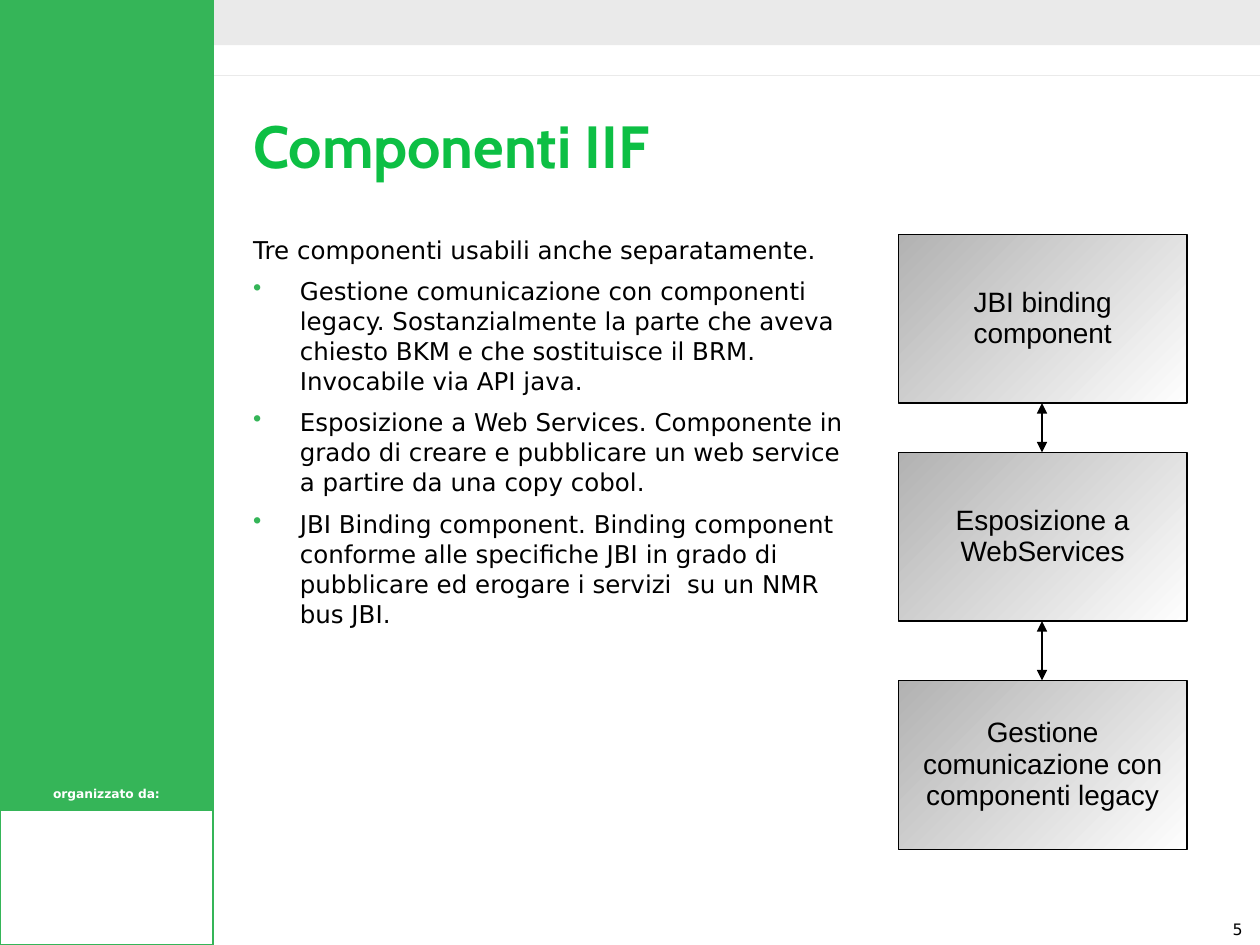
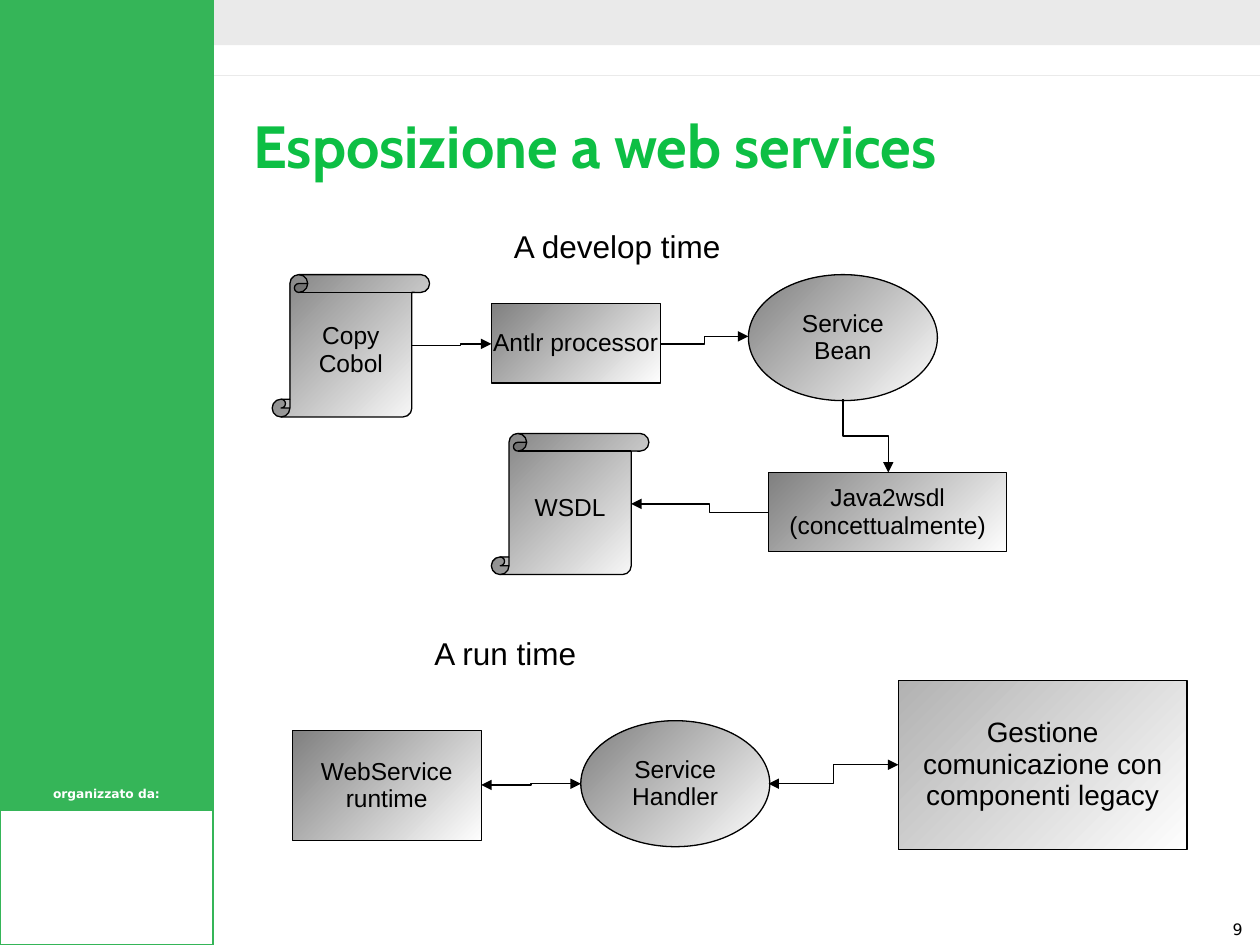
from dataclasses import dataclass
from typing import Any

from lxml import etree
from pptx import Presentation
from pptx.dml.color import RGBColor
from pptx.enum.shapes import MSO_CONNECTOR, MSO_SHAPE
from pptx.enum.text import MSO_ANCHOR, MSO_AUTO_SIZE, PP_ALIGN
from pptx.oxml.ns import qn
from pptx.util import Inches, Pt

RECT, OVAL, SCROLL = MSO_SHAPE.RECTANGLE, MSO_SHAPE.OVAL, MSO_SHAPE.VERTICAL_SCROLL
STRAIGHT, ELBOW = MSO_CONNECTOR.STRAIGHT, MSO_CONNECTOR.ELBOW
LEFT, CENTER, RIGHT = PP_ALIGN.LEFT, PP_ALIGN.CENTER, PP_ALIGN.RIGHT
TOP, MIDDLE = MSO_ANCHOR.TOP, MSO_ANCHOR.MIDDLE
GROW = MSO_AUTO_SIZE.SHAPE_TO_FIT_TEXT

COLORS = {
    "band": "EAEAEA",
    "panel": "35B558",
    "title": "0DBF44",
    "ink": "000000",
    "paper": "FFFFFF",
    "light": "FEFEFE",
    "module": "B2B2B2",
    "step": "808080",
}
HAIRLINE = Pt(0.75)
PANEL_WIDTH = 1.69
BODY_LEFT = 2.01
BODY_INDENT = 0.37
MODULE_LEFT, MODULE_WIDTH, MODULE_HEIGHT = 7.13, 2.29, 1.34
MODULE_CENTER = 8.27

Box = tuple[float, float, float, float]
Point = tuple[float, float]


@dataclass(frozen=True)
class TextStyle:
    font: str
    size: float
    color: str = "ink"
    bold: bool = False
    align: Any = LEFT
    anchor: Any = TOP
    spacing: float = 1.02
    inset: bool = True
    wrap: bool = True


TITLE = TextStyle("Cabin", 34, "title", True, anchor=MIDDLE, spacing=1.01, inset=False)
BODY = TextStyle("DejaVu Sans", 14, inset=False)
ORGANIZER = TextStyle("DejaVu Sans", 7, "paper", True, CENTER)
PAGE_NUMBER = TextStyle("DejaVu Sans", 9, align=RIGHT)
PHASE = TextStyle("Arial", 18, spacing=0.93, wrap=False)
MODULE = TextStyle("Arial", 16, align=CENTER, anchor=MIDDLE, spacing=0.93)
STEP = TextStyle("Arial", 14, align=CENTER, anchor=MIDDLE, spacing=0.93)
STEP_ONE_LINE = TextStyle("Arial", 14, align=CENTER, anchor=MIDDLE, spacing=0.93, wrap=False)


@dataclass(frozen=True)
class Node:
    text: str
    box: Box
    geometry: Any = RECT
    shade: str = "step"
    style: TextStyle = STEP


@dataclass(frozen=True)
class Arrow:
    start: Point
    end: Point
    bend: float = 0.5
    both_ways: bool = False
    vertical: bool = False
    kind: Any = ELBOW


def module(text: str, top: float) -> Node:
    return Node(text, (MODULE_LEFT, top, MODULE_WIDTH, MODULE_HEIGHT), RECT, "module", MODULE)


def module_link(top: float, bottom: float) -> Arrow:
    return Arrow((MODULE_CENTER, bottom), (MODULE_CENTER, top), both_ways=True, kind=STRAIGHT)


LEGACY = module("Gestione comunicazione con componenti legacy", 5.4)
MODULES = [
    module("JBI binding component", 1.86),
    module("Esposizione a WebServices", 3.59),
    LEGACY,
]
MODULE_LINKS = [
    module_link(upper.box[1] + MODULE_HEIGHT, lower.box[1])
    for upper, lower in zip(MODULES, MODULES[1:])
]
INTRO = "Tre componenti usabili anche separatamente."
COMPONENTS = [
    "Gestione comunicazione con componenti legacy. Sostanzialmente la parte che aveva "
    "chiesto BKM e che sostituisce il BRM. Invocabile via API java.",
    "Esposizione a Web Services. Componente in grado di creare e pubblicare un web "
    "service a partire da una copy cobol.",
    "JBI Binding component. Binding component conforme alle specifiche JBI in grado di "
    "pubblicare ed erogare i servizi  su un NMR bus JBI.",
]
FLOW_NODES = [
    Node("Antlr processor", (3.9, 2.41, 1.34, 0.63), style=STEP_ONE_LINE),
    Node("Copy Cobol", (2.16, 2.18, 1.25, 1.13), SCROLL),
    Node("Service Bean", (5.94, 2.18, 1.5, 1), OVAL),
    Node("Java2wsdl\n(concettualmente)", (6.1, 3.75, 1.89, 0.63)),
    Node("WSDL", (3.9, 3.44, 1.25, 1.12), SCROLL),
    Node("Service Handler", (4.61, 5.72, 1.5, 1), OVAL),
    Node("WebService runtime", (2.32, 5.8, 1.5, 0.87)),
    LEGACY,
]
FLOW_ARROWS = [
    Arrow((3.27, 2.74), (3.9, 2.73), bend=0.61),
    Arrow((5.24, 2.73), (5.94, 2.67)),
    Arrow((6.69, 3.17), (7.05, 3.75), vertical=True),
    Arrow((6.1, 4.07), (5.01, 4), bend=0.43),
    Arrow((4.61, 6.22), (3.82, 6.23), both_ways=True),
    Arrow((6.1, 6.22), (7.13, 6.07), both_ways=True),
]
PHASES = {
    "A develop time": (3.98, 1.78, 1.85, 0.38),
    "A run time": (3.35, 5.01, 1.34, 0.38),
}


def rgb(name: str) -> RGBColor:
    return RGBColor.from_string(COLORS[name])


def apply(target: Any, values: dict[str, Any]) -> None:
    for attribute, value in values.items():
        setattr(target, attribute, value)


def write(frame: Any, text: str, style: TextStyle) -> None:
    """Fill a text frame, one paragraph for each line of the text."""
    side, edge = (Inches(0.1), Inches(0.05)) if style.inset else (0, 0)
    apply(frame, {
        "margin_left": side, "margin_right": side,
        "margin_top": edge, "margin_bottom": edge,
        "vertical_anchor": style.anchor, "word_wrap": style.wrap, "text": text,
    })
    for paragraph in frame.paragraphs:
        apply(paragraph, {"alignment": style.align, "line_spacing": style.spacing})
        apply(paragraph.font, {"name": style.font, "size": Pt(style.size), "bold": style.bold})
        paragraph.font.color.rgb = rgb(style.color)


def add_text(slide: Any, text: str, box: Box, style: TextStyle) -> Any:
    frame = slide.shapes.add_textbox(*map(Inches, box)).text_frame
    write(frame, text, style)
    return frame


def add_block(slide: Any, box: Box, fill: str | None, line: str | None, geometry: Any = RECT) -> Any:
    block = slide.shapes.add_shape(geometry, *map(Inches, box))
    block.shadow.inherit = False
    if fill:
        block.fill.solid()
        block.fill.fore_color.rgb = rgb(fill)
    else:
        block.fill.background()
    if line:
        block.line.color.rgb = rgb(line)
        block.line.width = HAIRLINE
    else:
        block.line.fill.background()
    return block


def add_node(slide: Any, node: Node) -> None:
    block = add_block(slide, node.box, None, "ink", node.geometry)
    block.fill.gradient()
    block.fill.gradient_angle = 135
    for stop, color in zip(block.fill.gradient_stops, ("light", node.shade)):
        stop.color.rgb = rgb(color)
    write(block.text_frame, node.text, node.style)


def add_line(slide: Any, kind: Any, start: Point, end: Point, color: str) -> Any:
    line = slide.shapes.add_connector(kind, *map(Inches, (*start, *end)))
    line.line.color.rgb = rgb(color)
    line.line.width = HAIRLINE
    etree.SubElement(line._element.spPr, qn("a:effectLst"))
    return line


def quarter_turn(point: Point, center: Point) -> Point:
    return center[0] - (point[1] - center[1]), center[1] + (point[0] - center[0])


def add_arrow(slide: Any, arrow: Arrow) -> None:
    """Draw an arrow; a vertical one is laid flat, then rotated back upright."""
    start, end = arrow.start, arrow.end
    if arrow.vertical:
        center = ((start[0] + end[0]) / 2, (start[1] + end[1]) / 2)
        start, end = quarter_turn(start, center), quarter_turn(end, center)
    connector = add_line(slide, arrow.kind, start, end, "ink")
    properties = connector._element.spPr
    if arrow.vertical:
        properties.find(qn("a:xfrm")).set("rot", str(270 * 60000))
    if arrow.kind == ELBOW:
        guides = properties.find(qn("a:prstGeom")).find(qn("a:avLst"))
        etree.SubElement(guides, qn("a:gd"), name="adj1", fmla=f"val {round(arrow.bend * 100000)}")
    outline = properties.find(qn("a:ln"))
    for tip in ("a:headEnd", "a:tailEnd") if arrow.both_ways else ("a:tailEnd",):
        etree.SubElement(outline, qn(tip), type="triangle")


def add_bullet(paragraph: Any) -> None:
    properties = paragraph._p.get_or_add_pPr()
    color = etree.Element(qn("a:buClr"))
    etree.SubElement(color, qn("a:srgbClr"), val=COLORS["panel"])
    mark = etree.Element(qn("a:buChar"), char="•")
    # Bullet elements follow the spacing elements in a paragraph's properties.
    properties.find(qn("a:spcBef")).addnext(color)
    color.addnext(mark)


def add_component_list(slide: Any) -> None:
    frame = add_text(slide, "\n".join([INTRO, *COMPONENTS]), (BODY_LEFT, 1.86, 4.73, 5.2), BODY)
    for index, paragraph in enumerate(frame.paragraphs):
        properties = paragraph._p.get_or_add_pPr()
        properties.set("marL", str(Inches(BODY_INDENT)))
        properties.set("indent", str(-Inches(BODY_INDENT)))
        if index:
            paragraph.space_before = Pt(6.5)
            add_bullet(paragraph)


def start_slide(deck: Any, title: str, number: int) -> Any:
    """Add a slide with the shared bands, side panel, title and page number."""
    slide = deck.slides.add_slide(deck.slide_layouts[6])
    add_line(slide, STRAIGHT, (PANEL_WIDTH, 0.6), (10, 0.6), "band")
    add_block(slide, (PANEL_WIDTH, 0, 10 - PANEL_WIDTH, 0.36), "band", None)
    add_block(slide, (0, 0, PANEL_WIDTH, 6.43), "panel", "panel")
    add_block(slide, (0, 6.43, PANEL_WIDTH, 1.07), "paper", "panel")
    add_text(slide, "organizzato da:", (0, 6.19, PANEL_WIDTH, 0.22), ORGANIZER)
    add_text(slide, str(number), (8.46, 7.25, 1.5, 0.28), PAGE_NUMBER)
    add_text(slide, title, (BODY_LEFT, 0.53, 7.64, 1.23), TITLE)
    return slide


def add_diagram(slide: Any, nodes: list[Node], arrows: list[Arrow]) -> None:
    for node in nodes:
        add_node(slide, node)
    for arrow in arrows:
        add_arrow(slide, arrow)


def main() -> None:
    deck = Presentation()
    apply(deck, {"slide_width": Inches(10), "slide_height": Inches(7.5)})

    components = start_slide(deck, "Componenti IIF", 5)
    add_diagram(components, MODULES, MODULE_LINKS)
    add_component_list(components)

    services = start_slide(deck, "Esposizione a web services", 9)
    add_diagram(services, FLOW_NODES, FLOW_ARROWS)
    for phase, box in PHASES.items():
        add_text(services, phase, box, PHASE).auto_size = GROW

    deck.save("out.pptx")


if __name__ == "__main__":
    main()
